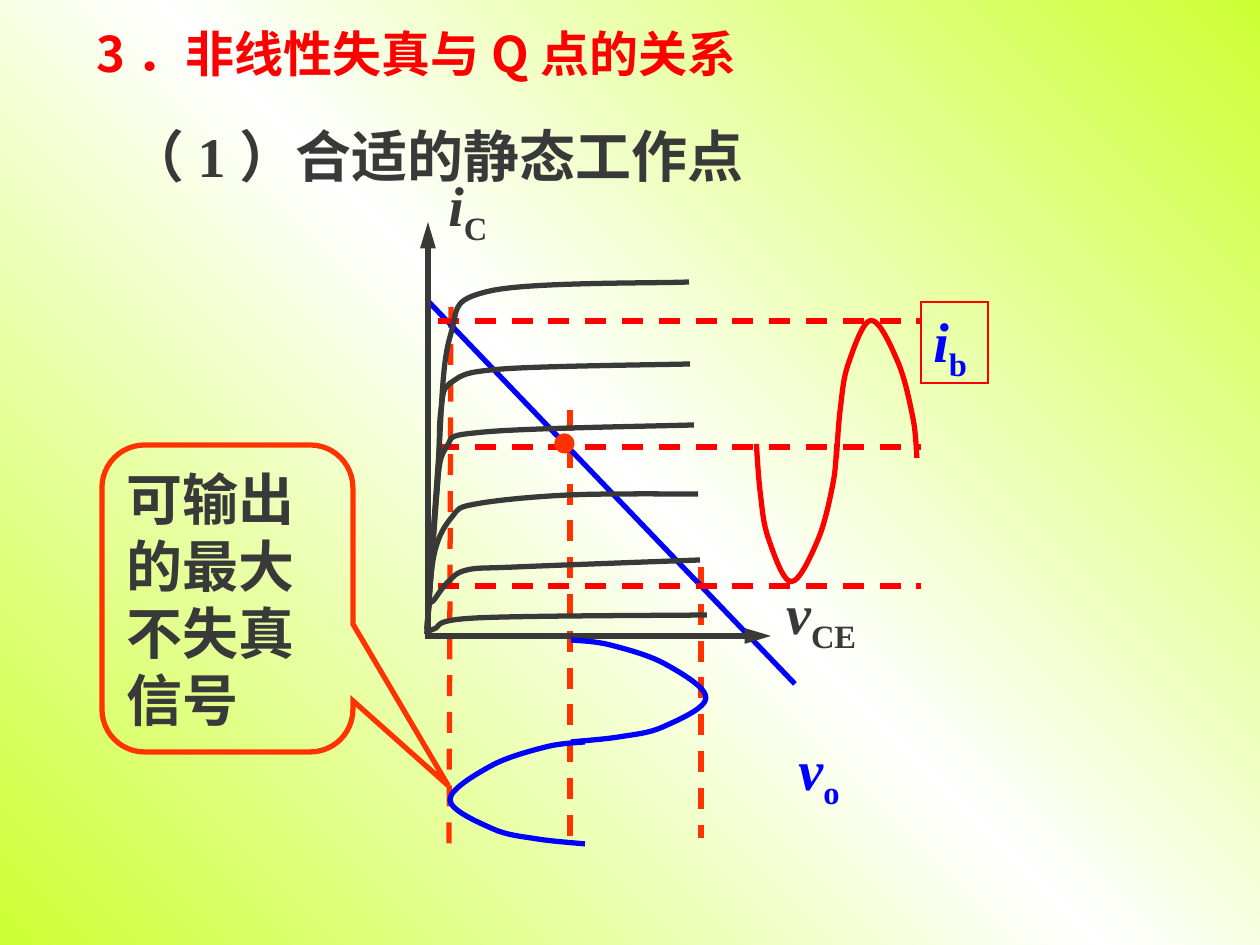
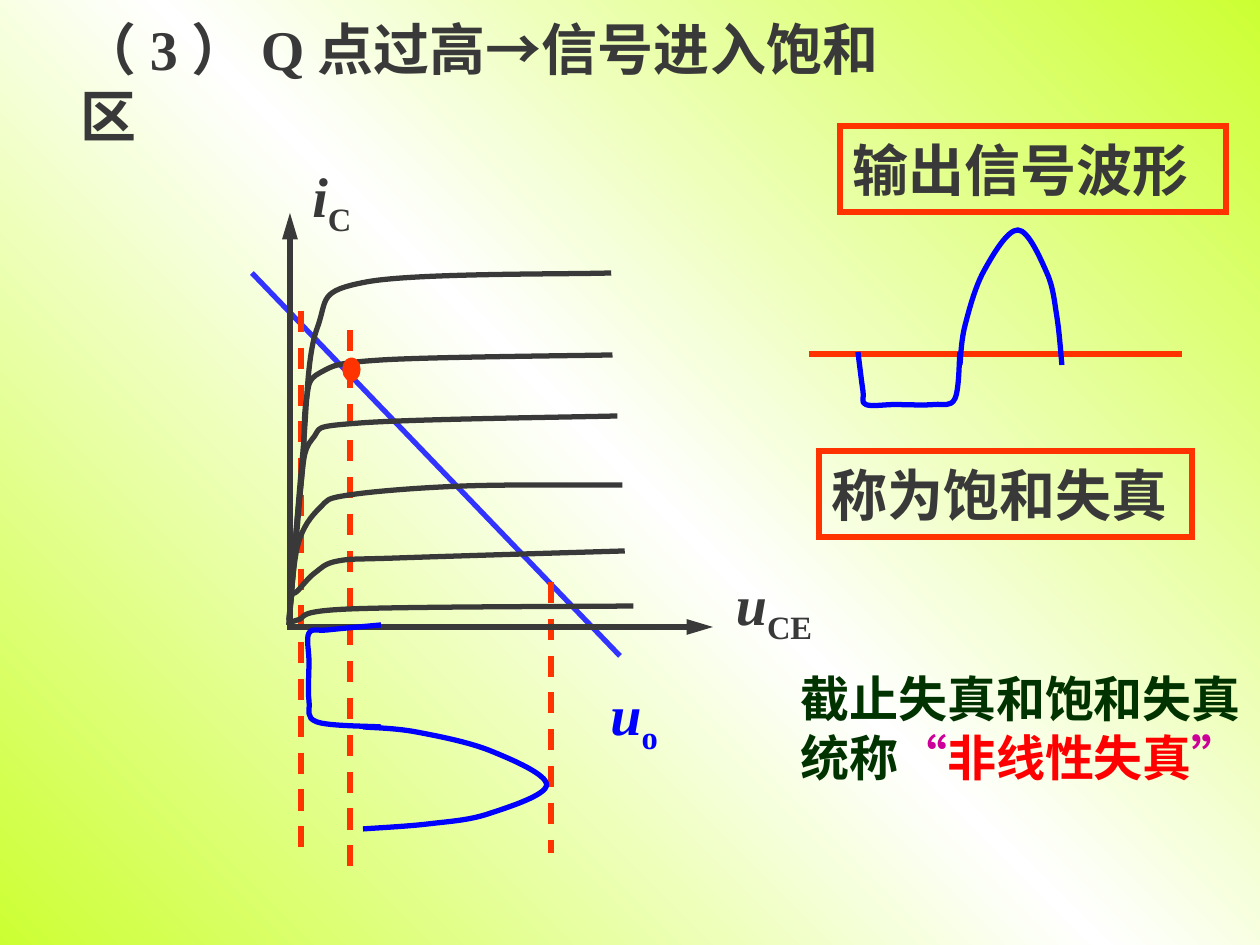
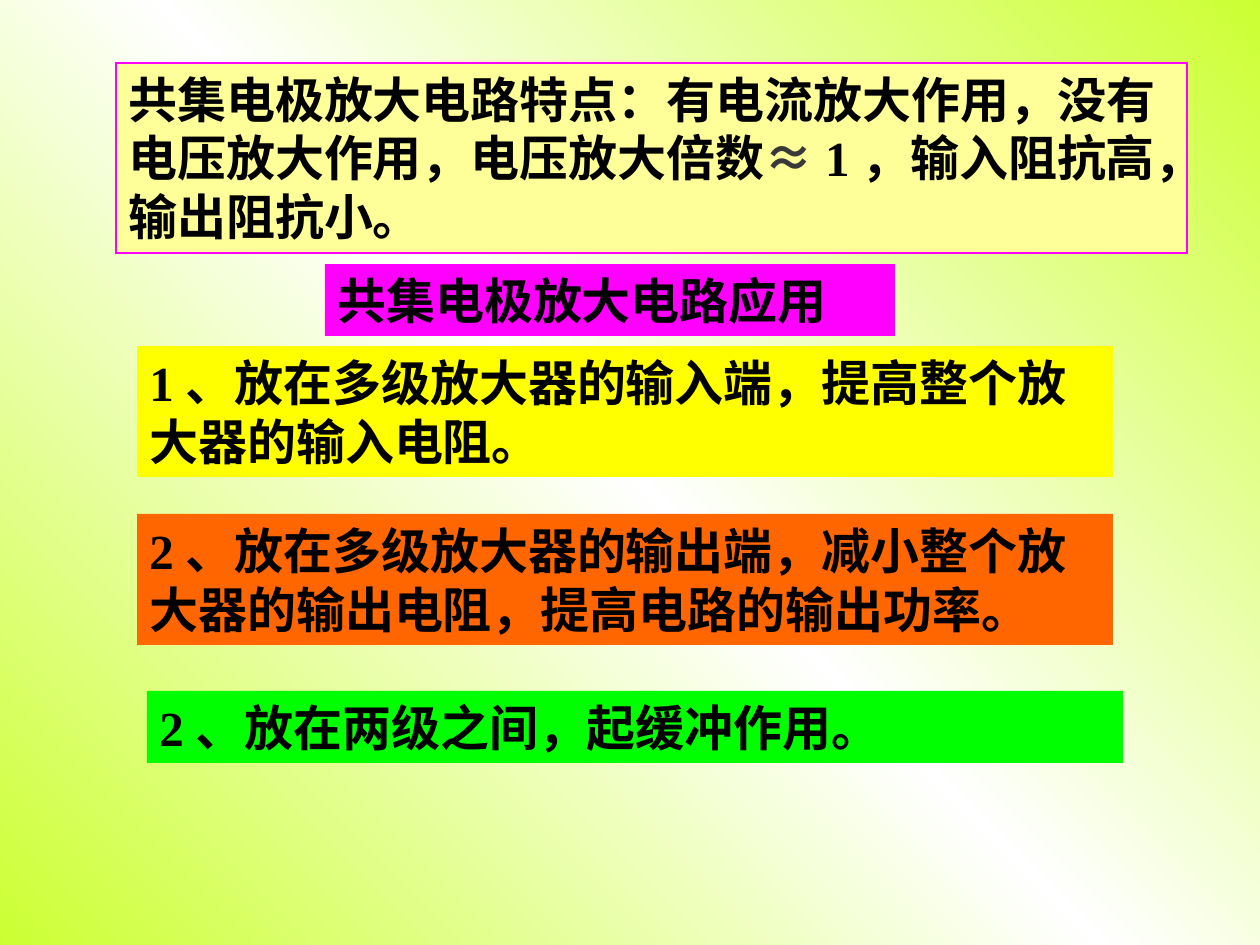
from copy import deepcopy
from dataclasses import dataclass

from pptx import Presentation
from pptx.dml.color import RGBColor
from pptx.enum.dml import MSO_LINE
from pptx.enum.lang import MSO_LANGUAGE_ID
from pptx.enum.shapes import MSO_CONNECTOR, MSO_SHAPE
from pptx.enum.text import MSO_ANCHOR, PP_ALIGN
from pptx.oxml.ns import qn
from pptx.util import Pt
from lxml.etree import SubElement

PX = 9144000 // 1260


@dataclass(frozen=True)
class Theme:
    lime: str = "CCFF33"
    white: str = "FFFFFF"
    ink: str = "393939"
    black: str = "000000"
    blue: str = "0000FF"
    load: str = "3333FF"
    red: str = "FF0000"
    orange: str = "FF3300"
    green: str = "003300"
    purple: str = "CC0099"
    cream: str = "FFFF99"
    magenta: str = "FF00FF"
    yellow: str = "FFFF00"
    amber: str = "FF6600"
    lawn: str = "00FF00"
    serif: str = "Times New Roman"
    sans: str = "Noto Sans CJK SC"
    large: int = 32
    medium: int = 28
    stroke: int = 3
    hairline: float = 0.75
    leading: float = 1.2


T = Theme()


def rgb(value):
    return RGBColor.from_string(value)


def smooth(sp, knots):
    """Turn the straight segments of a freeform into Catmull-Rom curves."""
    pts = [knots[0], *knots, knots[-1]]
    segments = list(sp._element.iter(qn("a:lnTo")))
    for segment, a, b, c, d in zip(segments, pts, pts[1:], pts[2:], pts[3:]):
        controls = [[q + (r - p) / 6 for p, q, r in zip(a, b, c)],
                    [q - (r - p) / 6 for p, q, r in zip(b, c, d)], c]
        curve = segment.getparent().makeelement(qn("a:cubicBezTo"))
        for x, y in controls:
            SubElement(curve, qn("a:pt"), x=str(round(x - sp.left)), y=str(round(y - sp.top)))
        segment.getparent().replace(segment, curve)


prs = Presentation()
prs.slide_width, prs.slide_height = 1260 * PX, 945 * PX

# Shared background gradient
fill = prs.slide_master.background.fill
fill.gradient()
fill.gradient_angle = 45
for stop in fill.gradient_stops:
    stop.color.rgb = rgb(T.lime)
stops = prs.slide_master.element.find(".//" + qn("a:gsLst"))
middle = deepcopy(stops[0])
middle.set("pos", "50000")
middle.find(qn("a:srgbClr")).set("val", T.white)
stops.insert(1, middle)

slides = [prs.slides.add_slide(prs.slide_layouts[6]) for _ in range(3)]

# Transistor output curves, measured from the origin of the axes
FAMILY = [
    [(0, 0), (7, -5), (49, -16), (280, -19)],
    [(0, 0), (2, -28), (7, -34), (21, -52), (40, -64), (89, -67), (273, -74)],
    [(0, 0), (7, -79), (25, -117), (49, -130), (143, -139), (271, -140)],
    [(0, -5), (9, -132), (19, -186), (58, -202), (267, -209)],
    [(0, -5), (11, -159), (14, -224), (25, -252), (76, -265), (263, -270)],
    [(0, 0), (11, -168), (23, -297), (63, -343), (262, -352)],
]
# Half waves: amplitude, time
HUMP = [(0, 0), (39, 5), (94, 24), (135, 58), (92, 87), (48, 97), (0, 102)]
CLIPPED = [(0, 0), (53, 5), (72, 8), (72, 37), (72, 76), (64, 97), (0, 102)]

# Waves: knots, start x, start y, colour, (amplitude x, time x, amplitude y, time y)
# Lines: x1, y1, x2, y2, colour, dashed
DIAGRAMS = [
    dict(slide=slides[0], origin=(427, 634), stretch=1, axis_end=771, dot=(557, 436, 15, 15),
         waves=[(HUMP, 571, 640, T.blue, (1, 0, 0, 1)),
                (HUMP, 585, 742, T.blue, (-1, 0, 0, 1)),
                (HUMP, 917, 458, T.red, (0, -0.79, -1.02, 0)),
                (HUMP, 837, 444, T.red, (0, -0.79, 1.02, 0))],
         lines=[(570, 410, 570, 843, T.orange, True),
                (451, 307, 449, 858, T.orange, True),
                (701, 567, 701, 838, T.orange, True),
                (427, 300, 795, 684, T.blue, False),
                *[(438, y, 921, y, T.red, True) for y in (321, 447, 586)]]),
    dict(slide=slides[1], origin=(289, 625), stretch=1.23, axis_end=713, dot=(345, 360, 13, 19),
         waves=[(CLIPPED, 381, 625, T.blue, (-1, 0, 0, 1)),
                (HUMP, 363, 727, T.blue, (1.36, 0, 0, 1)),
                (CLIPPED, 858, 352, T.blue, (0, 1, 0.73, 0)),
                (HUMP, 960, 365, T.blue, (0, 1, -1, 0))],
         lines=[(252, 273, 620, 656, T.load, False),
                (809, 354, 1182, 354, T.orange, False),
                (551, 582, 551, 853, T.orange, True),
                (350, 330, 350, 873, T.orange, True),
                (301, 311, 301, 863, T.orange, True)]),
]

for d in DIAGRAMS:
    s, (ox, oy) = d["slide"], d["origin"]

    # Straight lines and axes
    axes = [(ox - 2, oy + 2, d["axis_end"], oy + 2), (ox + 1, oy + 2, ox + 1, oy - 412)]
    rows = [(*row, False) for row in d["lines"]] + [(*a, T.ink, False, True) for a in axes]
    for x1, y1, x2, y2, color, dashed, arrow in rows:
        cn = s.shapes.add_connector(MSO_CONNECTOR.STRAIGHT, x1 * PX, y1 * PX, x2 * PX, y2 * PX)
        cn.line.color.rgb = rgb(color)
        cn.line.width = Pt(T.stroke)
        if dashed:
            cn.line.dash_style = MSO_LINE.DASH
        if arrow:
            SubElement(cn.line._get_or_add_ln(), qn("a:tailEnd"), type="triangle", len="lg")
        SubElement(cn._element.spPr, qn("a:effectLst"))

    # Output curves and waves
    family = [(knots, ox, oy, T.ink, (d["stretch"], 0, 0, 1)) for knots in FAMILY]
    for knots, x, y, color, (ax, tx, ay, ty) in family + d["waves"]:
        pts = [((x + ax * u + tx * v) * PX, (y + ay * u + ty * v) * PX) for u, v in knots]
        fb = s.shapes.build_freeform(*pts[0])
        fb.add_line_segments(pts[1:], close=False)
        sp = fb.convert_to_shape()
        smooth(sp, pts)
        sp.fill.background()
        sp.line.color.rgb = rgb(color)
        sp.line.width = Pt(T.stroke)
        sp.shadow.inherit = False

    # Operating point
    sp = s.shapes.add_shape(MSO_SHAPE.OVAL, *[n * PX for n in d["dot"]])
    sp.fill.solid()
    sp.fill.fore_color.rgb = sp.line.color.rgb = rgb(T.orange)
    sp.line.width = Pt(T.stroke)
    sp.shadow.inherit = False

# Text: slide, box, runs of (text, colour), options
LEFT, CENTER = PP_ALIGN.LEFT, PP_ALIGN.CENTER
RECT, CALLOUT = MSO_SHAPE.RECTANGLE, MSO_SHAPE.ROUNDED_RECTANGULAR_CALLOUT
FRAME = dict(shape=RECT, line=T.orange)
BAND = dict(shape=RECT, size=T.medium)
TEXTS = [
    (0, (84, 17, 849, 60), [("3．非线性失真与Q点的关系", T.red)],
     dict(size=T.medium, font=T.sans, anchor=MSO_ANCHOR.TOP)),
    (0, (0, 116, 872, 79), [("（1）合适的静态工作点", T.ink)], dict(align=CENTER)),
    (0, (102, 445, 251, 307), [("可输出的最大不失真信号", T.ink)],
     dict(shape=CALLOUT, line=T.orange, adjust=(0.88, 0.61, 0.17))),
    (0, (436, 174, 252, 79), [("i", T.ink), ("C", T.ink)], dict(symbol=True)),
    (0, (756, 582, 130, 79), [("v", T.ink), ("CE", T.ink)], dict(symbol=True, align=CENTER)),
    (0, (760, 738, 118, 79), [("v", T.blue), ("o", T.blue)], dict(symbol=True, align=CENTER)),
    (0, (921, 302, 67, 81), [("i", T.blue), ("b", T.blue)],
     dict(symbol=True, shape=RECT, line=T.red, width=T.hairline, anchor=MSO_ANCHOR.BOTTOM, bottom=0)),
    (1, (68, 42, 847, 79), [("（3）Q点过高→信号进入饱和区", T.ink)], {}),
    (1, (300, 165, 311, 79), [("i", T.ink), ("C", T.ink)], dict(symbol=True)),
    (1, (709, 573, 130, 79), [("u", T.ink), ("CE", T.ink)], dict(symbol=True, align=CENTER)),
    (1, (575, 683, 118, 79), [("u", T.blue), ("o", T.blue)], dict(symbol=True, align=CENTER)),
    (1, (840, 126, 386, 86), [("输出信号波形", T.ink)], FRAME),
    (1, (819, 451, 373, 86), [("称为饱和失真", T.ink)], FRAME),
    (1, (788, 662, 472, 130),
     [("截止失真和饱和失真统称", T.green), ("“", T.purple), ("非线性失真", T.red), ("”", T.purple)],
     dict(size=T.medium)),
    (2, (116, 63, 1071, 190),
     [("共集电极放大电路特点：有电流放大作用，没有电压放大作用，电压放大倍数", T.black),
      ("≈", T.ink), ("1，输入阻抗高，输出阻抗小。", T.black)],
     dict(BAND, fill=T.cream, line=T.magenta, width=T.hairline, anchor=MSO_ANCHOR.TOP)),
    (2, (325, 264, 570, 72), [("共集电极放大电路应用", T.black)], dict(BAND, fill=T.magenta)),
    (2, (137, 346, 976, 131), [("1、放在多级放大器的输入端，提高整个放大器的输入电阻。", T.black)],
     dict(BAND, fill=T.yellow)),
    (2, (137, 514, 976, 131),
     [("2、放在多级放大器的输出端，减小整个放大器的输出电阻，提高电路的输出功率。", T.black)],
     dict(BAND, fill=T.amber)),
    (2, (147, 691, 976, 72), [("2、放在两级之间，起缓冲作用。", T.black)], dict(BAND, fill=T.lawn)),
]

for index, box, runs, opt in TEXTS:
    shapes, box = slides[index].shapes, [n * PX for n in box]
    if "shape" in opt:
        sp = shapes.add_shape(opt["shape"], *box)
        sp.shadow.inherit = False
        for i, value in enumerate(opt.get("adjust", ())):
            sp.adjustments[i] = value
        if "fill" in opt:
            sp.fill.solid()
            sp.fill.fore_color.rgb = rgb(opt["fill"])
        else:
            sp.fill.background()
        if "line" in opt:
            sp.line.color.rgb = rgb(opt["line"])
            sp.line.width = Pt(opt.get("width", T.stroke))
            SubElement(sp.line._get_or_add_ln(), qn("a:miter"), lim="800000")
        else:
            sp.line.fill.background()
    else:
        sp = shapes.add_textbox(*box)
    tf = sp.text_frame
    tf.word_wrap = True
    tf.vertical_anchor = opt.get("anchor", MSO_ANCHOR.MIDDLE)
    tf.margin_bottom = opt.get("bottom", 6) * PX
    size, font = opt.get("size", T.large), opt.get("font", T.serif)
    p = tf.paragraphs[0]
    p.alignment = opt.get("align", LEFT)
    p.line_spacing = Pt(size * T.leading)
    for i, (text, color) in enumerate(runs):
        r = p.add_run()
        r.text = text
        symbol = opt.get("symbol", False)
        fmt = dict(name=font, size=Pt(size), bold=True, italic=symbol and i == 0,
                   language_id=MSO_LANGUAGE_ID.SIMPLIFIED_CHINESE)
        for key, value in fmt.items():
            setattr(r.font, key, value)
        r.font.color.rgb = rgb(color)
        rpr = r._r.get_or_add_rPr()
        SubElement(rpr, qn("a:ea"), typeface=T.sans)
        if symbol and i:
            rpr.set("baseline", "-25000")

prs.save("out.pptx")
